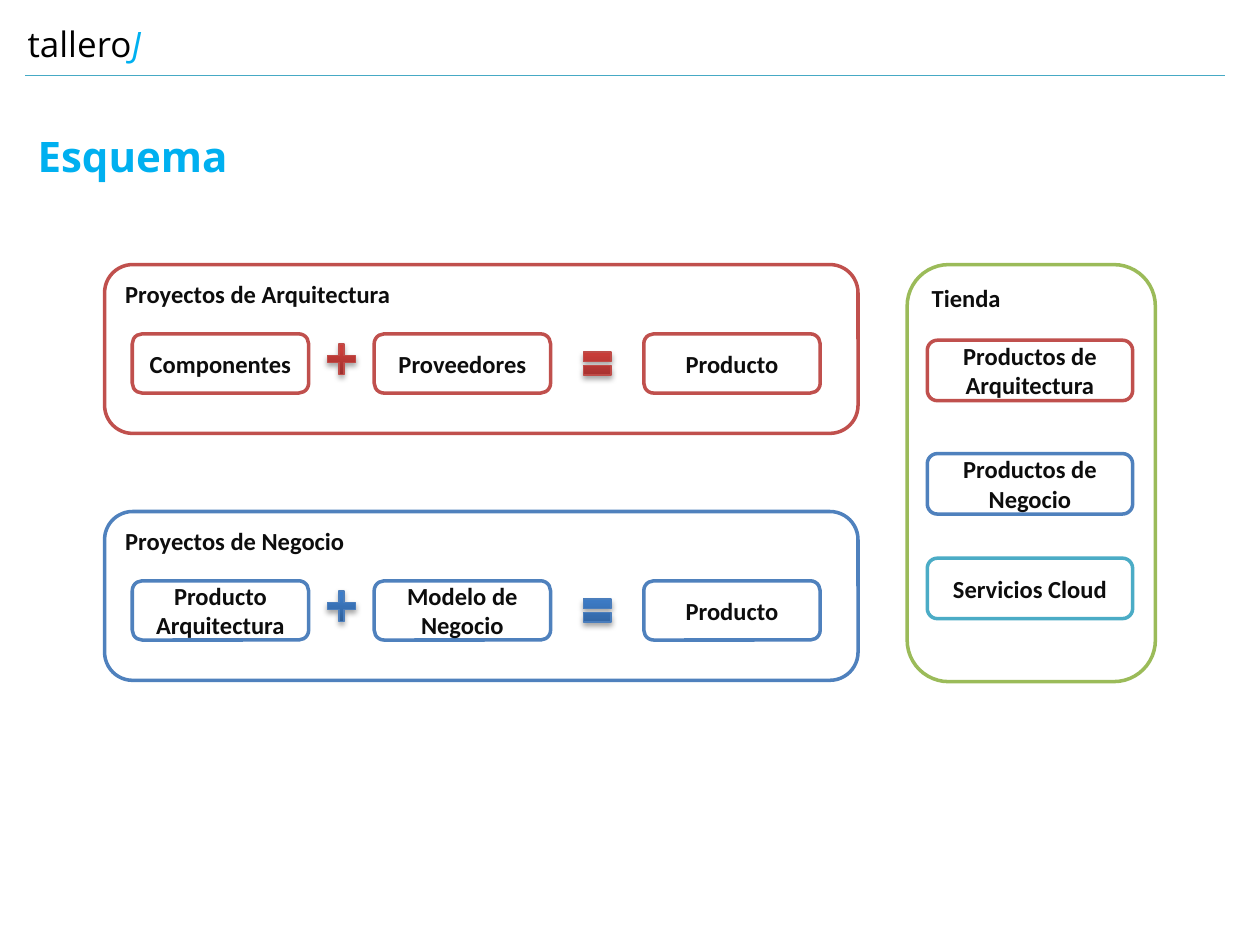
from dataclasses import dataclass

from pptx import Presentation
from pptx.dml.color import RGBColor
from pptx.enum.shapes import MSO_CONNECTOR, MSO_SHAPE
from pptx.enum.text import MSO_ANCHOR, MSO_AUTO_SIZE, PP_ALIGN
from pptx.oxml import parse_xml
from pptx.oxml.ns import nsdecls, qn
from pptx.util import Inches, Pt

ROUNDED = MSO_SHAPE.ROUNDED_RECTANGLE
PLUS, EQUAL = MSO_SHAPE.CROSS, MSO_SHAPE.MATH_EQUAL
STRAIGHT = MSO_CONNECTOR.STRAIGHT
TOP, MIDDLE = MSO_ANCHOR.TOP, MSO_ANCHOR.MIDDLE
LEFT, CENTER, JUSTIFY = PP_ALIGN.LEFT, PP_ALIGN.CENTER, PP_ALIGN.JUSTIFY
GROW = MSO_AUTO_SIZE.SHAPE_TO_FIT_TEXT


@dataclass(frozen=True)
class Theme:
    heading_font: str = "Open Sans"
    body_font: str = "Calibri"
    brand_size: int = 20
    title_size: int = 24
    body_size: int = 14
    box_line: float = 2
    thin_line: float = 0.75
    black: str = "000000"
    ink: str = "0D0D0D"
    white: str = "FFFFFF"
    accent: str = "00B0F0"
    rule: str = "46AAC5"
    red: str = "C0504D"
    blue: str = "4F81BD"
    green: str = "9BBB59"
    teal: str = "4BACC6"


@dataclass(frozen=True)
class OperatorStyle:
    line: str
    stops: tuple[tuple[int, str], ...]  # position in percent, colour


@dataclass(frozen=True)
class Project:
    top: float
    title: str
    terms: tuple[str, str, str]
    color: str
    operators: OperatorStyle


@dataclass(frozen=True)
class StoreItem:
    top: float
    label: str
    color: str


THEME = Theme()
RED_OPERATORS = OperatorStyle("BF4C48", ((0, "9C2F2D"), (80, "CB3E3A"), (100, "CE3B37")))
BLUE_OPERATORS = OperatorStyle("4B7EBC", ((0, "2F5F99"), (80, "3D7CC7"), (100, "3A7CCB")))

PROJECTS = (
    Project(2.1, "Proyectos de Arquitectura",
            ("Componentes", "Proveedores", "Producto"), THEME.red, RED_OPERATORS),
    Project(4.06, "Proyectos de Negocio",
            ("Producto Arquitectura", "Modelo de Negocio", "Producto"),
            THEME.blue, BLUE_OPERATORS),
)
TERM_LEFTS = (1.05, 2.97, 5.11)
STORE_ITEMS = (
    StoreItem(2.7, "Productos de Arquitectura", THEME.red),
    StoreItem(3.6, "Productos de Negocio", THEME.blue),
    StoreItem(4.43, "Servicios Cloud", THEME.teal),
)


def rgb(color: str) -> RGBColor:
    return RGBColor.from_string(color)


def style_run(run, font: str, size: float, color: str,
              bold: bool = False, italic: bool = False) -> None:
    run.font.name = font
    run.font.size = Pt(size)
    run.font.color.rgb = rgb(color)
    run.font.bold = bold
    run.font.italic = italic


def add_shape(shapes, kind, left: float, top: float, width: float, height: float,
              line_color: str, line_width: float):
    shape = shapes.add_shape(kind, Inches(left), Inches(top), Inches(width), Inches(height))
    shape.shadow.inherit = False
    shape.line.color.rgb = rgb(line_color)
    shape.line.width = Pt(line_width)
    return shape


def add_box(shapes, left: float, top: float, width: float, height: float, label: str,
            color: str, anchor=MIDDLE, align=CENTER) -> None:
    box = add_shape(shapes, ROUNDED, left, top, width, height, color, THEME.box_line)
    box.fill.solid()
    box.fill.fore_color.rgb = rgb(THEME.white)
    frame = box.text_frame
    frame.text = label
    frame.word_wrap = True
    frame.vertical_anchor = anchor
    paragraph = frame.paragraphs[0]
    paragraph.alignment = align
    style_run(paragraph.runs[0], THEME.body_font, THEME.body_size, THEME.ink, bold=True)


def add_operator(shapes, kind, left: float, top: float, width: float, height: float,
                 style: OperatorStyle):
    sign = add_shape(shapes, kind, left, top, width, height, style.line, THEME.thin_line)
    # Three-stop gradient
    sign.fill.gradient()
    properties = sign._element.spPr
    stops = "".join(
        f'<a:gs pos="{position * 1000}"><a:srgbClr val="{color}"/></a:gs>'
        for position, color in style.stops)
    properties.replace(properties.find(qn("a:gradFill")), parse_xml(
        f'<a:gradFill {nsdecls("a")} rotWithShape="1"><a:gsLst>{stops}</a:gsLst>'
        '<a:lin ang="16200000" scaled="0"/></a:gradFill>'))
    # Soft shadow below
    properties.find(qn("a:effectLst")).append(parse_xml(
        f'<a:outerShdw {nsdecls("a")} blurRad="{Pt(3.1)}" dist="{Pt(1.8)}" dir="5400000" '
        f'rotWithShape="0"><a:srgbClr val="{THEME.black}"><a:alpha val="35000"/>'
        '</a:srgbClr></a:outerShdw>'))
    return sign


def add_text_area(slide, left: float, top: float, width: float, height: float):
    area = slide.shapes.add_textbox(Inches(left), Inches(top), Inches(width), Inches(height))
    area.text_frame.word_wrap = True
    area.text_frame.auto_size = GROW
    return area.text_frame.paragraphs[0]


def draw_header(slide) -> None:
    brand = add_text_area(slide, 0.12, 0.13, 1.65, 0.44)
    brand.text = "tallero"
    style_run(brand.runs[0], THEME.heading_font, THEME.brand_size, THEME.black)
    suffix = brand.add_run()
    suffix.text = "J"
    style_run(suffix, THEME.heading_font, THEME.brand_size, THEME.accent, italic=True)

    rule = slide.shapes.add_connector(
        STRAIGHT, Inches(0.2), Inches(0.6), Inches(9.72), Inches(0.6))
    rule.line.color.rgb = rgb(THEME.rule)
    rule.line.width = Pt(THEME.thin_line)
    rule._element.spPr.append(parse_xml(f'<a:effectLst {nsdecls("a")}/>'))

    title = add_text_area(slide, 0.2, 0.99, 9.57, 1.18)
    title.text = "Esquema"
    title.alignment = JUSTIFY
    style_run(title.runs[0], THEME.heading_font, THEME.title_size, THEME.accent, bold=True)


def draw_project(slide, project: Project) -> None:
    shapes = slide.shapes.add_group_shape().shapes
    add_box(shapes, 0.83, project.top, 5.98, 1.34, project.title, project.color, TOP, LEFT)
    for left, term in zip(TERM_LEFTS, project.terms):
        add_box(shapes, left, project.top + 0.55, 1.4, 0.47, term, project.color)
    operator_top = project.top + 0.63
    plus = add_operator(shapes, PLUS, 2.6, operator_top, 0.22, 0.24, project.operators)
    plus.adjustments[0] = 0.41
    add_operator(shapes, EQUAL, 4.59, operator_top, 0.3, 0.31, project.operators)


def draw_store(slide) -> None:
    shapes = slide.shapes.add_group_shape().shapes
    add_box(shapes, 7.2, 2.1, 1.97, 3.31, "Tienda", THEME.green, TOP, LEFT)
    for item in STORE_ITEMS:
        add_box(shapes, 7.36, item.top, 1.63, 0.48, item.label, item.color)


def main() -> None:
    presentation = Presentation()
    presentation.slide_width = Inches(10)
    presentation.slide_height = Inches(7.5)
    slide = presentation.slides.add_slide(presentation.slide_layouts[6])
    draw_header(slide)
    for project in PROJECTS:
        draw_project(slide, project)
    draw_store(slide)
    presentation.save("out.pptx")


if __name__ == "__main__":
    main()
